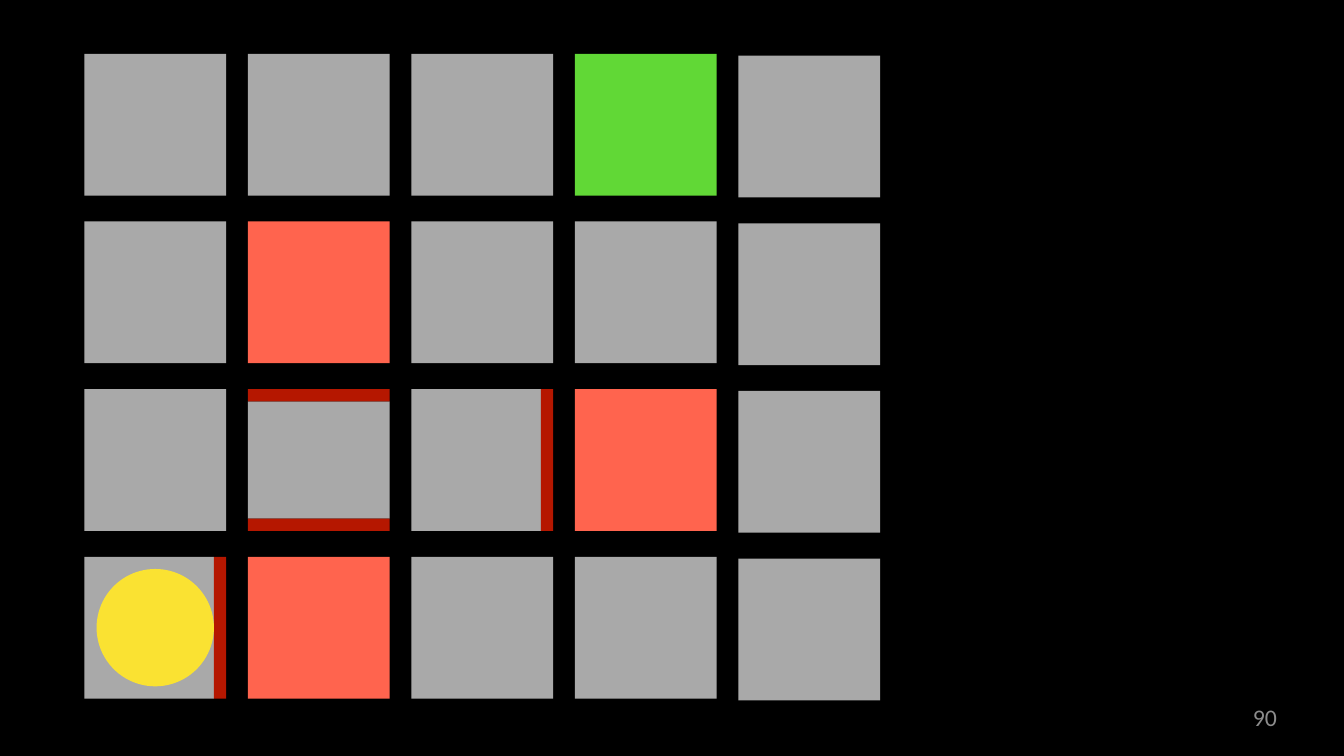
import dataclasses

import pptx
import pptx.dml.color
import pptx.enum.shapes
import pptx.enum.text
import pptx.util

WIDTH, HEIGHT = 21.99, 12.37
LEFT, TOP = 1.38, 0.88
COLUMN_PITCH = (12.08 - LEFT) / 4
ROW_PITCH = (9.11 - TOP) / 3
CELL = 2.32
WALL = 0.2
LAST_COLUMN_DROP = 0.03

MAZE = [
    "...G.",
    ".R...",
    "...R.",
    ".R...",
]
WALLS = {(3, 0): ["right"], (2, 1): ["bottom", "top"], (2, 2): ["right"]}
PLAYER = (3, 0)


@dataclasses.dataclass(frozen=True)
class Theme:
    background: str = "000000"
    floor: str = "A9A9A9"
    lava: str = "FF644E"
    goal: str = "61D836"
    wall: str = "B51700"
    player: str = "FAE232"
    number: str = "8C8C8C"
    font: str = "Calibri"
    number_size: int = 28


THEME = Theme()
CELL_COLOURS = {".": THEME.floor, "R": THEME.lava, "G": THEME.goal}


def colour(value):
    return pptx.dml.color.RGBColor.from_string(value)


def cell_origin(row, column):
    drop = LAST_COLUMN_DROP if column == len(MAZE[0]) - 1 else 0
    return LEFT + column * COLUMN_PITCH, TOP + row * ROW_PITCH + drop


def add_filled(page, kind, left, top, width, height, fill):
    lengths = [pptx.util.Inches(value) for value in (left, top, width, height)]
    shape = page.shapes.add_shape(kind, *lengths)
    shape.shadow.inherit = False
    shape.fill.solid()
    shape.fill.fore_color.rgb = colour(fill)
    shape.line.fill.background()


def add_cell(page, row, column, fill):
    """Draw a square, shortened on each side that has a wall."""
    left, top = cell_origin(row, column)
    width = height = CELL
    for side in WALLS.get((row, column), []):
        if side == "right":
            width -= WALL
        else:
            height -= WALL
        if side == "top":
            top += WALL
    add_filled(page, pptx.enum.shapes.MSO_SHAPE.RECTANGLE,
               left, top, width, height, fill)


def add_wall(page, row, column, side):
    left, top = cell_origin(row, column)
    width, height = (WALL, CELL) if side == "right" else (CELL, WALL)
    if side == "right":
        left += CELL - WALL
    elif side == "bottom":
        top += CELL - WALL
    add_filled(page, pptx.enum.shapes.MSO_SHAPE.RECTANGLE,
               left, top, width, height, THEME.wall)


def add_player(page, row, column):
    left, top = cell_origin(row, column)
    size = CELL - 2 * WALL
    add_filled(page, pptx.enum.shapes.MSO_SHAPE.OVAL,
               left + WALL, top + WALL, size, size, THEME.player)


def add_page_number(page, number):
    shares = (0.72 * WIDTH, 0.93 * HEIGHT, 0.23 * WIDTH, 0.038 * HEIGHT)
    box = page.shapes.add_textbox(*[pptx.util.Inches(value) for value in shares])
    frame = box.text_frame
    frame.word_wrap = True
    frame.margin_left = frame.margin_right = 0
    frame.margin_top = frame.margin_bottom = 0
    para = frame.paragraphs[0]
    para.text = number
    para.alignment = pptx.enum.text.PP_ALIGN.RIGHT
    para.font.name = THEME.font
    para.font.size = pptx.util.Pt(THEME.number_size)
    para.font.color.rgb = colour(THEME.number)


def main():
    deck = pptx.Presentation()
    deck.slide_width = pptx.util.Inches(WIDTH)
    deck.slide_height = pptx.util.Inches(HEIGHT)
    page = deck.slides.add_slide(deck.slide_layouts[6])
    page.background.fill.solid()
    page.background.fill.fore_color.rgb = colour(THEME.background)

    for row, cells in enumerate(MAZE):
        for column, kind in enumerate(cells):
            add_cell(page, row, column, CELL_COLOURS[kind])
    for (row, column), sides in WALLS.items():
        for side in sides:
            add_wall(page, row, column, side)
    add_player(page, *PLAYER)
    add_page_number(page, "90")
    deck.save("out.pptx")


if __name__ == "__main__":
    main()
